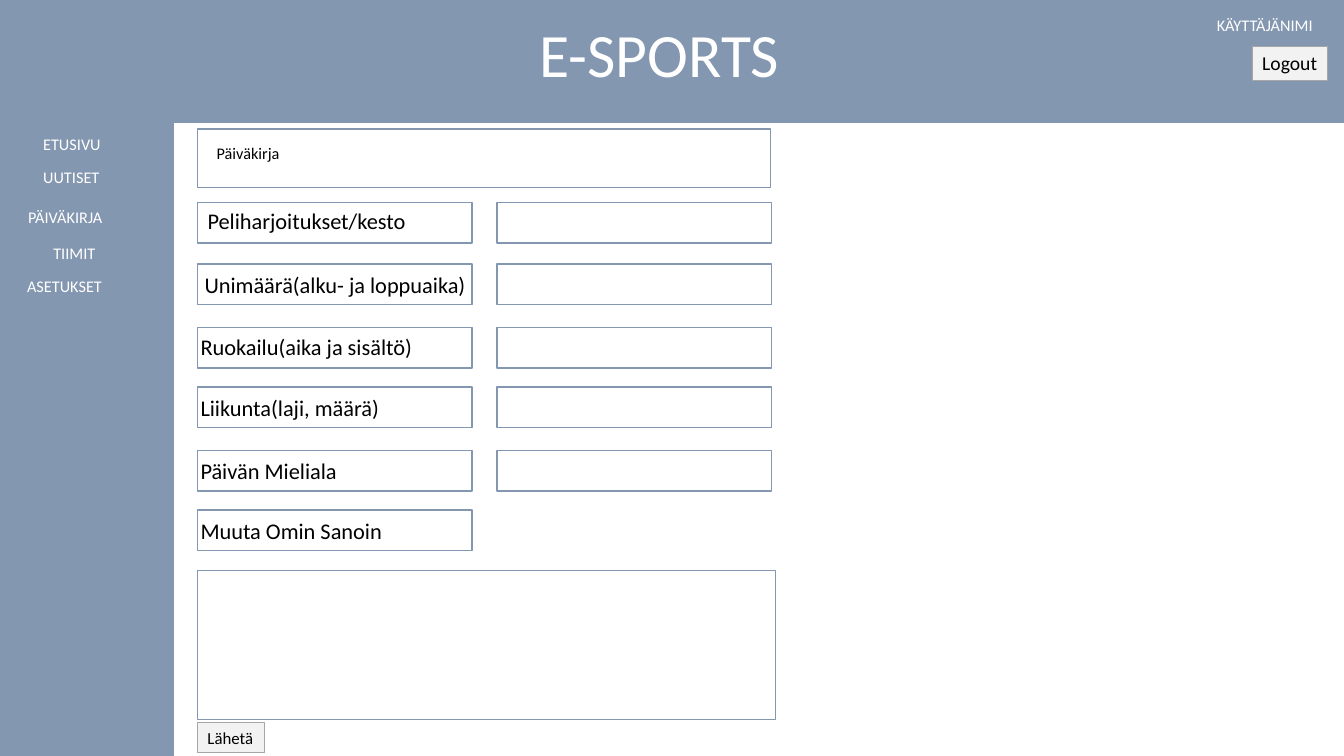
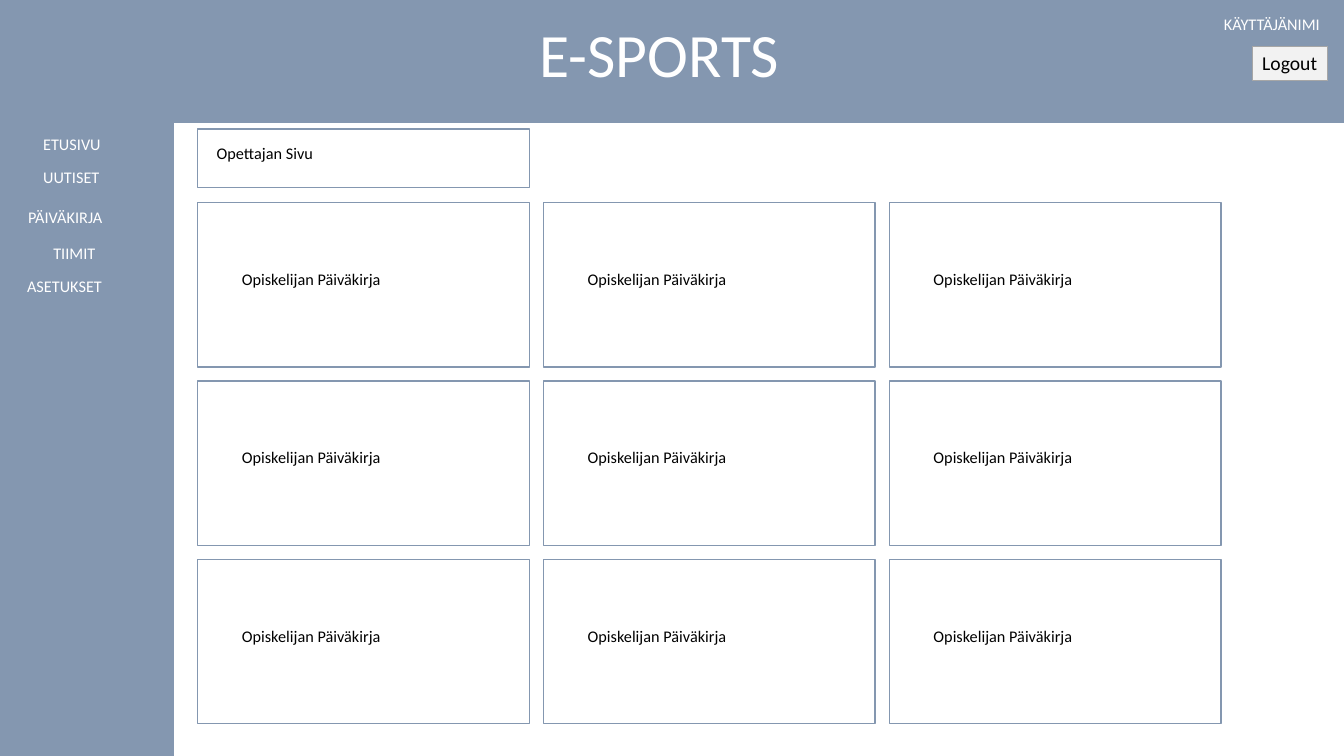
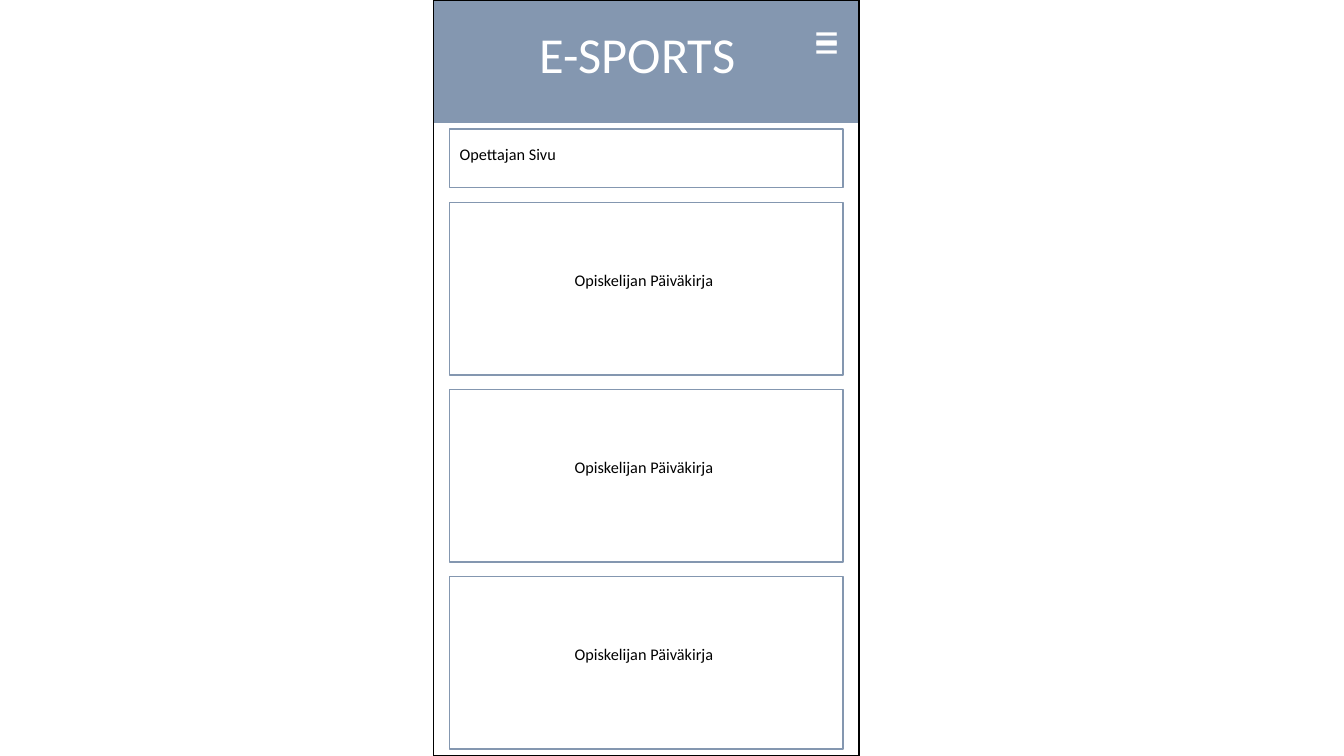
from pptx import Presentation, util as u
from pptx.dml.color import RGBColor
from pptx.enum import shapes, text

BLUE, WHITE, BLACK = "8497B0", "FFFFFF", "000000"
BUTTON_FILL, BUTTON_LINE = "F2F2F2", "A6A6A6"
FONT = "Calibri"
SMALL, LABEL = 11.6, 16
CONTENT_LEFT, CONTENT_TOP = 1.96, 2.01
HEADER_HEIGHT, SIDEBAR_WIDTH = 1.21, 1.72
HEADING_TOP, HEADING_HEIGHT = 1.28, 0.58
DIARY = "Opiskelijan Päiväkirja"
MENU = [
    ("ETUSIVU", 0.33, 1.28, 0.77),
    ("UUTISET", 0.33, 1.61, 0.76),
    ("PÄIVÄKIRJA", 0.18, 2.01, 0.96),
    ("TIIMIT", 0.43, 2.36, 0.62),
    ("ASETUKSET", 0.17, 2.69, 0.95),
]


def add_box(slide, left, top, width, height, fill=WHITE, line=BLUE, weight=1):
    """Add a flat rectangle; a fill of None leaves it see-through."""
    shape = slide.shapes.add_shape(
        shapes.MSO_SHAPE.RECTANGLE, *map(u.Inches, (left, top, width, height)))
    shape.shadow.inherit = False
    if fill:
        shape.fill.solid()
        shape.fill.fore_color.rgb = RGBColor.from_string(fill)
    else:
        shape.fill.background()
    shape.line.color.rgb = RGBColor.from_string(line)
    shape.line.width = u.Pt(weight)
    return shape


def add_text(slide, words, left, top, width, height=0.3, size=SMALL,
             color=BLACK, wrap=True, button=False):
    """Write left-aligned text in a text box or on a grey button."""
    if button:
        shape = add_box(slide, left, top, width, height,
                        BUTTON_FILL, BUTTON_LINE, 0.75)
    else:
        shape = slide.shapes.add_textbox(
            *map(u.Inches, (left, top, width, height)))
    frame = shape.text_frame
    frame.word_wrap = wrap
    frame.auto_size = text.MSO_AUTO_SIZE.SHAPE_TO_FIT_TEXT
    frame.vertical_anchor = text.MSO_ANCHOR.TOP
    paragraph = frame.paragraphs[0]
    paragraph.alignment = text.PP_ALIGN.LEFT
    run = paragraph.add_run()
    run.text = words
    run.font.name = FONT
    run.font.size = u.Pt(size)
    run.font.color.rgb = RGBColor.from_string(color)


presentation = Presentation()
presentation.slide_width = u.Inches(13.33)
presentation.slide_height = u.Inches(7.5)
blank = presentation.slide_layouts[6]
diary_form, teacher_page, mobile_page = [
    presentation.slides.add_slide(blank) for _ in range(3)]

# Desktop frame: header, sidebar menu, user area and page heading
for slide, heading, heading_width, user_left, user_top in [
        (diary_form, "Päiväkirja", 5.68, 11.97, 0.1),
        (teacher_page, "Opettajan Sivu", 3.29, 12.04, 0.09)]:
    add_box(slide, 0, 0, 13.33, HEADER_HEIGHT, fill=BLUE)
    add_box(slide, 0, HEADER_HEIGHT, SIDEBAR_WIDTH, 7.5 - HEADER_HEIGHT, fill=BLUE)
    add_text(slide, "E-SPORTS", 5.25, 0.11, 2.83, 0.84, size=44, color=WHITE)
    for item, left, top, width in MENU:
        add_text(slide, item, left, top, width, color=WHITE, wrap=False)
    add_text(slide, "KÄYTTÄJÄNIMI", user_left, user_top, 1.18,
             color=WHITE, wrap=False)
    add_text(slide, "Logout", 12.42, 0.46, 0.75, 0.34, size=14,
             wrap=False, button=True)
    add_box(slide, CONTENT_LEFT, HEADING_TOP, heading_width, HEADING_HEIGHT)
    add_text(slide, heading, 2.05, 1.37, 2.25)

# Slide 1: diary form
FIELD_WIDTH, FIELD_HEIGHT, ANSWER_LEFT = 2.72, 0.4, 4.93
for label, label_left, label_top, top, has_answer in [
        ("Peliharjoitukset/kesto", 1.96, 2.01, 2.01, True),
        ("Unimäärä(alku- ja loppuaika)", 1.93, 2.64, 2.62, True),
        ("Ruokailu(aika ja sisältö)", 1.89, 3.26, 3.25, True),
        ("Liikunta(laji, määrä)", 1.89, 3.86, 3.84, True),
        ("Päivän Mieliala", 1.89, 4.49, 4.47, True),
        ("Muuta Omin Sanoin", 1.89, 5.08, 5.06, False)]:
    add_box(diary_form, CONTENT_LEFT, top, FIELD_WIDTH, FIELD_HEIGHT)
    if has_answer:
        add_box(diary_form, ANSWER_LEFT, top, FIELD_WIDTH, FIELD_HEIGHT)
    add_text(diary_form, label, label_left, label_top, 2.79, 0.37, size=LABEL)
add_box(diary_form, CONTENT_LEFT, 5.66, 5.73, 1.48)
add_text(diary_form, "Lähetä", CONTENT_LEFT, 7.17, 0.66, size=12,
         wrap=False, button=True)

# Slide 2: three by three grid of student diaries
CARD_WIDTH, CARD_HEIGHT, GAP = 3.29, 1.63, 0.14
for row in range(3):
    for column in range(3):
        left = CONTENT_LEFT + column * (CARD_WIDTH + GAP)
        top = CONTENT_TOP + row * (CARD_HEIGHT + GAP)
        add_box(teacher_page, left, top, CARD_WIDTH, CARD_HEIGHT)
        add_text(teacher_page, DIARY, left + 0.34, top + 0.61, 2.61)

# Slide 3: the teacher page on a phone
PHONE_LEFT, PHONE_WIDTH = 4.3, 4.22
CARD_LEFT, PHONE_CARD_WIDTH, PHONE_CARD_HEIGHT = 4.46, 3.9, 1.71
add_box(mobile_page, PHONE_LEFT, 0, PHONE_WIDTH, HEADER_HEIGHT, fill=BLUE)
add_text(mobile_page, "E-SPORTS", 5.25, 0.18, 2.83, 0.71, size=36, color=WHITE)
add_box(mobile_page, PHONE_LEFT, 0, PHONE_WIDTH, 7.5, fill=None, line=BLACK)
for menu_icon_top in (-0.01, 0.09):
    add_text(mobile_page, "=", 7.98, menu_icon_top, 2.83, 0.71,
             size=36, color=WHITE)
add_box(mobile_page, CARD_LEFT, HEADING_TOP, PHONE_CARD_WIDTH, HEADING_HEIGHT)
add_text(mobile_page, "Opettajan Sivu", CARD_LEFT, 1.38, 2.25)
for row in range(3):
    top = CONTENT_TOP + row * (PHONE_CARD_HEIGHT + 0.145)
    add_box(mobile_page, CARD_LEFT, top, PHONE_CARD_WIDTH, PHONE_CARD_HEIGHT)
    add_text(mobile_page, DIARY, 5.6, top + 0.62, 2.61)

presentation.save("out.pptx")
